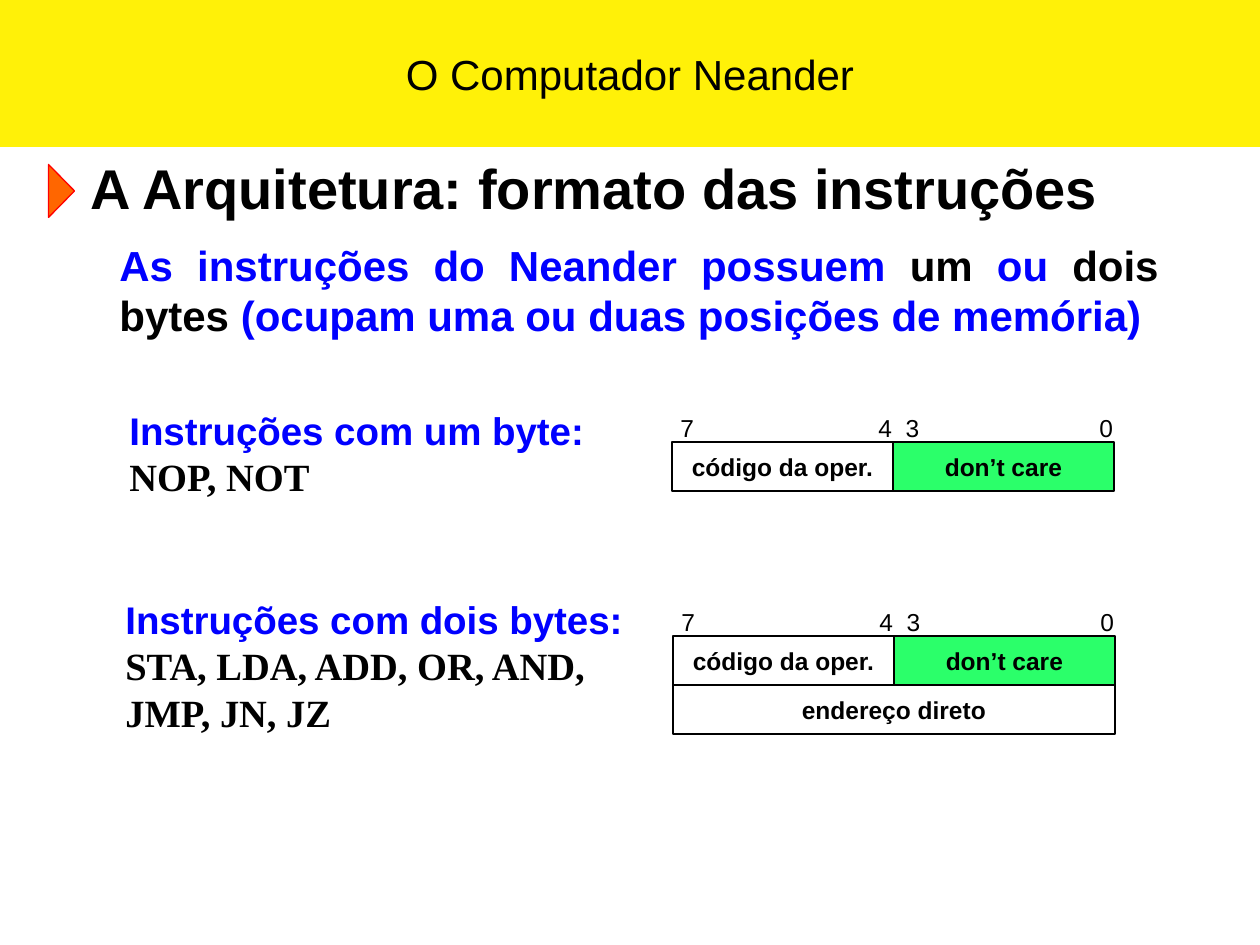
from dataclasses import dataclass

from pptx import Presentation
from pptx.dml.color import RGBColor
from pptx.enum.shapes import MSO_SHAPE
from pptx.enum.text import MSO_ANCHOR, MSO_AUTO_SIZE, PP_ALIGN
from pptx.util import Pt

RECTANGLE = MSO_SHAPE.RECTANGLE
TRIANGLE = MSO_SHAPE.ISOSCELES_TRIANGLE
MIDDLE = MSO_ANCHOR.MIDDLE
FIT_SHAPE = MSO_AUTO_SIZE.SHAPE_TO_FIT_TEXT
LEFT, CENTER, JUSTIFY = PP_ALIGN.LEFT, PP_ALIGN.CENTER, PP_ALIGN.JUSTIFY
PX_PER_INCH = 126


@dataclass(frozen=True)
class Theme:
    banner: str = "FFF108"
    marker: str = "FF6600"
    marker_edge: str = "FF0000"
    unused: str = "2BFF6A"
    ink: str = "000000"
    accent: str = "0000FF"
    sans: str = "Arial"
    serif: str = "Times New Roman"
    title: int = 24
    heading: int = 32
    intro: int = 24
    group: int = 22
    field: int = 14
    edge: float = 0.75


THEME = Theme()


def px(length):
    return round(length * 914400 / PX_PER_INCH)


def add_run(paragraph, text, size, color=THEME.ink, bold=True, face=THEME.sans):
    run = paragraph.add_run()
    run.text = text
    run.font.size = Pt(size)
    run.font.name = face
    run.font.bold = bold
    run.font.color.rgb = RGBColor.from_string(color)


def add_outline(shapes, kind, box, fill=None, edge=None):
    outline = shapes.add_shape(kind, *map(px, box))
    outline.shadow.inherit = False
    if fill:
        outline.fill.solid()
        outline.fill.fore_color.rgb = RGBColor.from_string(fill)
    else:
        outline.fill.background()
    if edge:
        outline.line.color.rgb = RGBColor.from_string(edge)
        outline.line.width = Pt(THEME.edge)
    else:
        outline.line.fill.background()
    return outline


def add_label_box(shapes, box, wrap=False, grow=True):
    frame = shapes.add_textbox(*map(px, box)).text_frame
    frame.word_wrap = wrap
    if grow:
        frame.auto_size = FIT_SHAPE
    frame.paragraphs[0].alignment = LEFT
    return frame


def add_centered(outline, text, size, bold, wrap):
    frame = outline.text_frame
    frame.word_wrap = wrap
    frame.vertical_anchor = MIDDLE
    frame.paragraphs[0].alignment = CENTER
    add_run(frame.paragraphs[0], text, size, bold=bold)


def add_banner(shapes, box):
    banner = add_outline(shapes, RECTANGLE, box, THEME.banner)
    add_centered(banner, "O Computador Neander", THEME.title, False, True)


def add_heading(shapes, box):
    left, top, width, height = box
    marker = add_outline(shapes, TRIANGLE, (left - 43, top + 31, 53, 26),
                         THEME.marker, THEME.marker_edge)
    marker.rotation = 90
    frame = add_label_box(shapes, box)
    add_run(frame.paragraphs[0], "A Arquitetura: formato das instruções", THEME.heading)


def add_intro(shapes, box):
    paragraph = add_label_box(shapes, box, wrap=True, grow=False).paragraphs[0]
    paragraph.alignment = JUSTIFY
    paragraph.space_before = Pt(9)
    properties = paragraph._p.get_or_add_pPr()
    properties.set("marL", str(px(23)))
    properties.set("indent", "0")
    for text, color in (
        ("As instruções do Neander possuem ", THEME.accent),
        ("um", THEME.ink),
        (" ou ", THEME.accent),
        ("dois bytes", THEME.ink),
        (" (ocupam uma ou duas posições de memória)", THEME.accent),
    ):
        add_run(paragraph, text, THEME.intro, color)


def add_field(shapes, box, text, fill=None):
    field = add_outline(shapes, RECTANGLE, box, fill, THEME.ink)
    add_centered(field, text, THEME.field, True, False)


def add_byte_format(slide_shapes, box, operand=None):
    left, top, width, row = box
    half = width // 2
    shapes = slide_shapes.add_group_shape().shapes
    if operand:
        add_field(shapes, (left, top + row, width, row), operand)
    add_field(shapes, (left, top, half, row), "código da oper.")
    add_field(shapes, (left + half, top, half, row), "don’t care", THEME.unused)
    for bits, offset, label_width in (("7", -4, 39), ("4  3", half - 27, 66),
                                      ("0", width - 27, 39)):
        frame = add_label_box(shapes, (left + offset, top - 35, label_width, 43))
        add_run(frame.paragraphs[0], bits, THEME.field, bold=False)


def add_instruction_list(shapes, box, heading, mnemonics, wrap):
    frame = add_label_box(shapes, box, wrap)
    add_run(frame.paragraphs[0], heading, THEME.group, THEME.accent)
    listing = frame.add_paragraph()
    listing.alignment = LEFT
    add_run(listing, mnemonics, THEME.group, face=THEME.serif)


def main():
    presentation = Presentation()
    presentation.slide_width = px(1260)
    presentation.slide_height = px(945)
    shapes = presentation.slides.add_slide(presentation.slide_layouts[6]).shapes

    add_banner(shapes, (0, 0, 1260, 147))
    add_heading(shapes, (78, 147, 1037, 81))
    add_intro(shapes, (84, 233, 1087, 113))
    add_byte_format(shapes, (672, 442, 442, 49))
    add_byte_format(shapes, (673, 636, 442, 49), "endereço direto")
    add_instruction_list(shapes, (117, 401, 480, 106),
                         "Instruções com um byte:", "NOP, NOT", False)
    add_instruction_list(shapes, (113, 590, 539, 151), "Instruções com dois bytes:",
                         "STA, LDA, ADD, OR, AND, JMP, JN, JZ", True)
    presentation.save("out.pptx")


if __name__ == "__main__":
    main()
